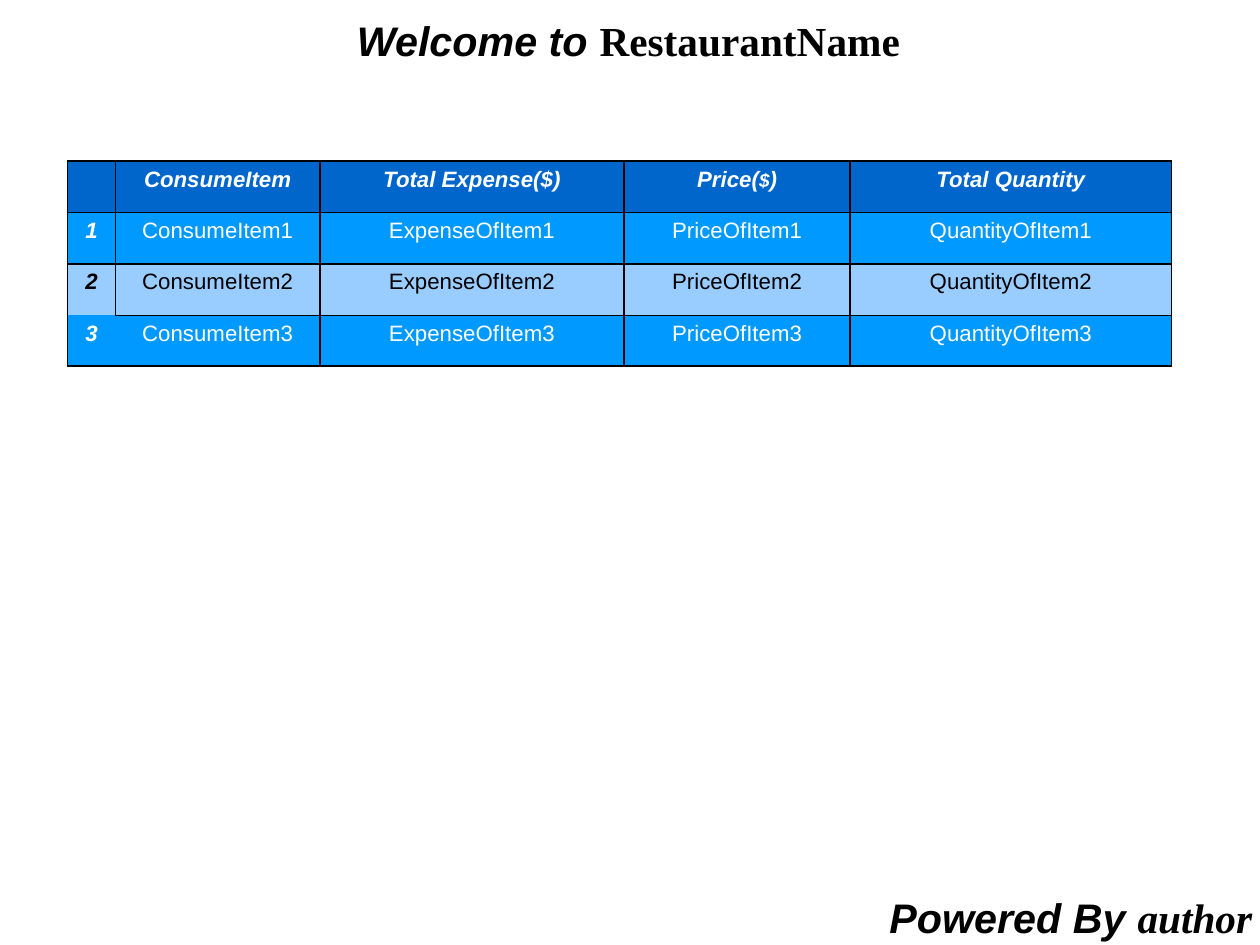
from lxml import etree
from pptx import Presentation
from pptx.dml.color import RGBColor
from pptx.enum.text import MSO_ANCHOR, MSO_AUTO_SIZE, PP_ALIGN
from pptx.oxml.ns import qn
from pptx.util import Emu, Inches, Pt

CENTER, TOP, NO_FIT = PP_ALIGN.CENTER, MSO_ANCHOR.TOP, MSO_AUTO_SIZE.NONE
SLIDE_WIDTH, SLIDE_HEIGHT = Emu(10080625), Emu(7559675)

BLACK, WHITE = "000000", "FFFFFF"
SANS, SERIF = "Arial", "Times New Roman"

WELCOME = [("Welcome to ", {"name": SANS, "italic": True}),
           ("RestaurantName", {"name": SERIF, "italic": False})]
CREDIT = [("Powered By ", {"name": SANS, "italic": True}),
          ("author", {"name": SERIF, "italic": True})]
BANNER = {"size": Pt(26), "bold": True}

HEADINGS = [
    [],
    [("ConsumeItem", {})],
    [("Total Expense($)", {})],
    [("Price(", {}), ("$", {"size": Pt(12)}), (")", {})],
    [("Total Quantity", {})],
]
FIELDS = ["ConsumeItem", "ExpenseOfItem", "PriceOfItem", "QuantityOfItem"]
ITEMS = [1, 2, 3]
ROW_STYLES = [("0066CC", WHITE), ("0099FF", WHITE), ("99CCFF", BLACK), ("0099FF", WHITE)]

TABLE_LEFT, TABLE_TOP = 0.59, 1.41
COLUMN_WIDTHS = [0.42, 1.79, 2.66, 1.98, 2.81]
ROW_HEIGHTS = [0.45, 0.45, 0.45, 0.44]
BORDER = 1.13
SIDES = ["lnL", "lnR", "lnT", "lnB"]
OPEN_SIDES = {(2, 0): ["lnB"], (3, 0): ["lnT", "lnR"], (3, 1): ["lnL"]}


def rgb(value):
    return RGBColor.from_string(value)


def write(frame, runs, base, color):
    paragraph = frame.paragraphs[0]
    paragraph.alignment = CENTER
    for text, changes in runs:
        run = paragraph.add_run()
        run.text = text
        for key, value in {**base, **changes}.items():
            setattr(run.font, key, value)
        run.font.color.rgb = rgb(color)


def write_banner(box, place, runs):
    box.left, box.top, box.width, box.height = map(Inches, place)
    frame = box.text_frame
    settings = {"word_wrap": False, "auto_size": NO_FIT, "vertical_anchor": TOP}
    for key, value in settings.items():
        setattr(frame, key, value)
    write(frame, runs, BANNER, BLACK)


def draw_borders(cell, open_sides):
    properties = cell._tc.get_or_add_tcPr()
    for position, side in enumerate(SIDES):
        line = etree.Element(qn("a:" + side), w=str(Pt(BORDER)))
        if side in open_sides:
            etree.SubElement(line, qn("a:noFill"))
        else:
            fill = etree.SubElement(line, qn("a:solidFill"))
            etree.SubElement(fill, qn("a:srgbClr"), val=BLACK)
        properties.insert(position, line)


def add_order_table(slide):
    rows = [HEADINGS] + [
        [[(str(item), {})]] + [[(f"{field}{item}", {})] for field in FIELDS]
        for item in ITEMS
    ]
    table = slide.shapes.add_table(
        len(rows), len(COLUMN_WIDTHS), Inches(TABLE_LEFT), Inches(TABLE_TOP),
        Inches(sum(COLUMN_WIDTHS)), Inches(sum(ROW_HEIGHTS))).table
    for column, width in zip(table.columns, COLUMN_WIDTHS):
        column.width = Inches(width)
    for r, (row, (fill, color)) in enumerate(zip(rows, ROW_STYLES)):
        table.rows[r].height = Inches(ROW_HEIGHTS[r])
        for c, runs in enumerate(row):
            cell = table.cell(r, c)
            emphasis = r == 0 or c == 0
            base = {"name": SANS, "size": Pt(14), "bold": emphasis, "italic": emphasis}
            write(cell.text_frame, runs, base, color)
            cell.fill.solid()
            cell.fill.fore_color.rgb = rgb(fill)
            draw_borders(cell, OPEN_SIDES.get((r, c), []))


def main():
    deck = Presentation()
    deck.slide_width, deck.slide_height = SLIDE_WIDTH, SLIDE_HEIGHT
    slide = deck.slides.add_slide(deck.slide_layouts[5])
    add_order_table(slide)
    write_banner(slide.shapes.title, (1.38, 0.08, 8.24, 0.51), WELCOME)
    credit = slide.shapes.add_textbox(0, 0, 0, 0)
    write_banner(credit, (7.68, 7.76, 3.38, 0.51), CREDIT)
    deck.save("out.pptx")


if __name__ == "__main__":
    main()
